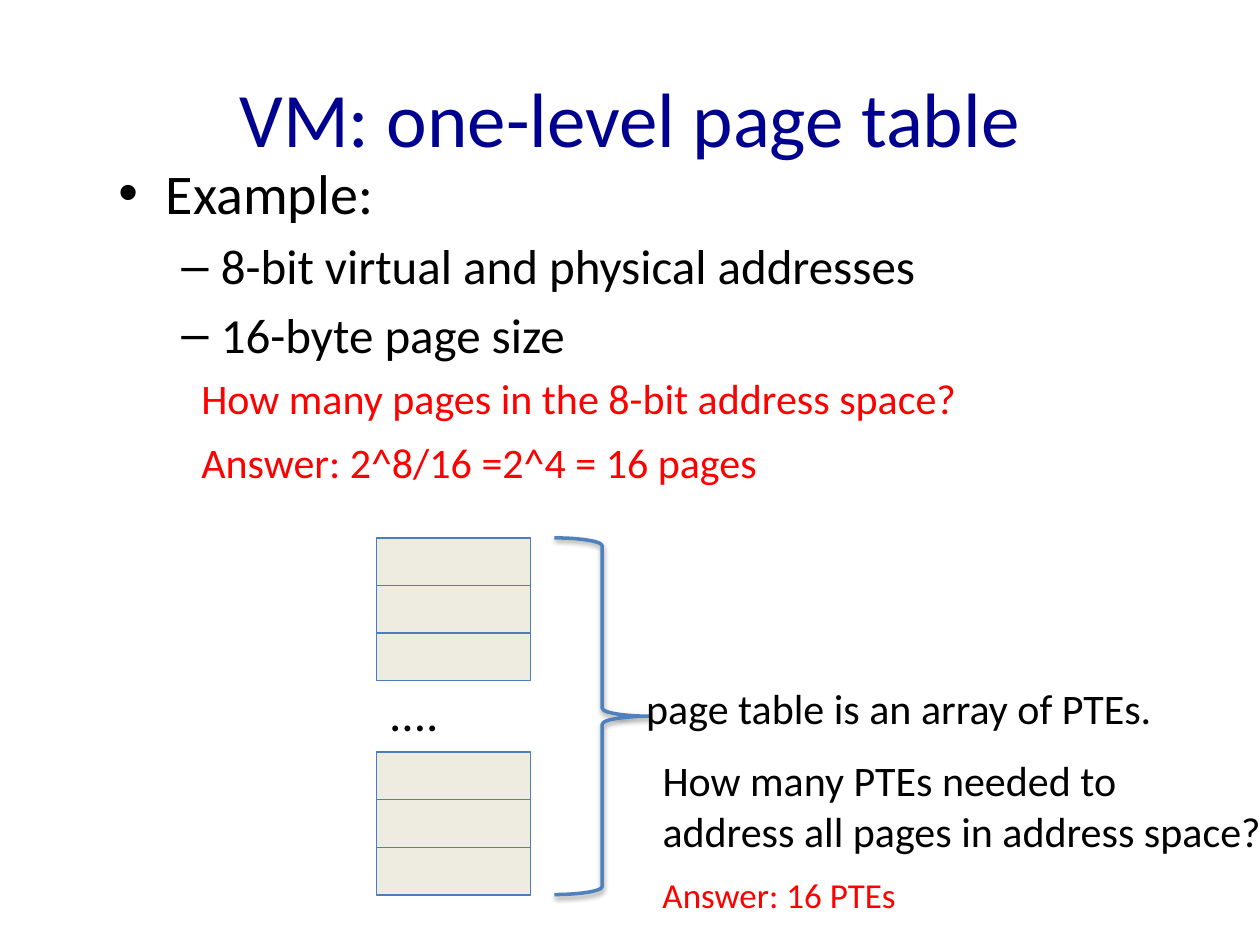
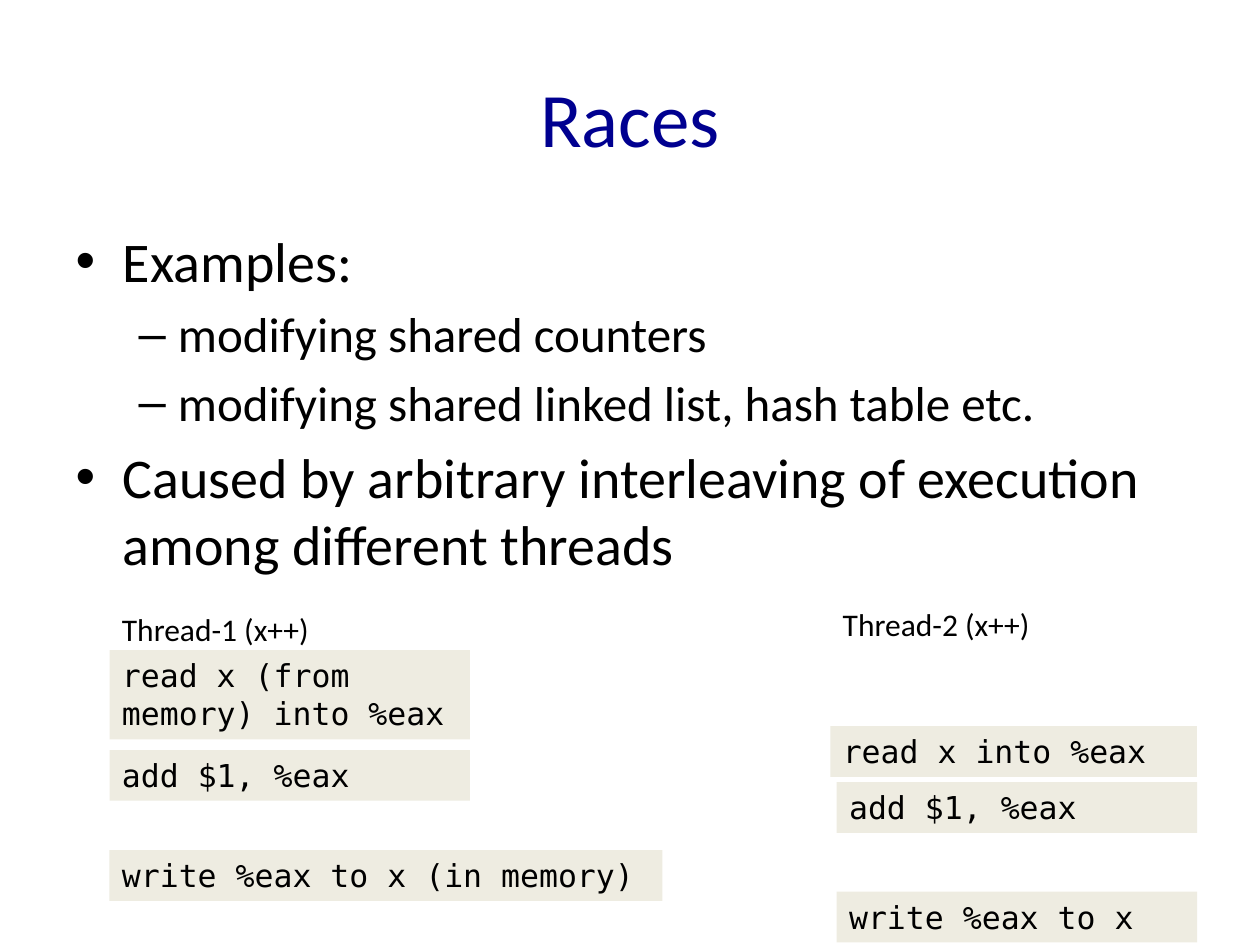
"""Build two lecture slides: a one-level page table and thread races."""
from lxml import etree
from pptx import Presentation
from pptx.dml import color as dml
from pptx.enum import shapes, text
from pptx.oxml import ns
from pptx.util import Pt

NAVY, BLACK, RED = "000090", "000000", "FF0000"
CREAM, CELL_EDGE, BRACE_BLUE = "EEECE1", "4B7EBC", "4F81BD"
SANS, MONO = "Calibri", "DejaVu Sans Mono"
LEVEL_SIZES = (32, 28)


def paint(target, value):
    """Give a fill or a font a solid colour from a hex string."""
    if hasattr(target, "solid"):
        target.solid()
        target.fore_color.rgb = dml.RGBColor.from_string(value)
    else:
        target.color.rgb = dml.RGBColor.from_string(value)


def write(frame, lines, size=None, color=BLACK, font=SANS, wrap=True,
          align=text.PP_ALIGN.LEFT, anchor=text.MSO_ANCHOR.TOP):
    """Fill a text frame with (text, level) lines in one format."""
    frame.auto_size = text.MSO_AUTO_SIZE.NONE
    frame.word_wrap = wrap
    frame.vertical_anchor = anchor
    for index, (words, level) in enumerate(lines):
        para = frame.add_paragraph() if index else frame.paragraphs[0]
        para.level = level
        para.alignment = align
        if index == 0:
            para.space_before = Pt(0)
        span = para.add_run()
        span.text = words
        span.font.name = font
        span.font.size = Pt(size or LEVEL_SIZES[level])
        paint(span.font, color)


deck = Presentation()
deck.slide_width, deck.slide_height = Pt(720), Pt(540)

outlines = [
    ("VM: one-level page table", (60.5, 87.1, 695.5, 175),
     [("Example:", 0),
      ("8-bit virtual and physical addresses", 1),
      ("16-byte page size", 1)]),
    ("Races", (36, 126, 648, 356.4),
     [("Examples:", 0),
      ("modifying shared counters", 1),
      ("modifying shared linked list, hash table etc.", 1),
      ("Caused by arbitrary interleaving of execution among different threads", 0)]),
]
pages = []
for heading, body_area, points in outlines:
    page = deck.slides.add_slide(deck.slide_layouts[1])
    title, body = page.placeholders
    for holder, area in ((title, (36, 21.6, 648, 90)), (body, body_area)):
        holder.left, holder.top, holder.width, holder.height = map(Pt, area)
    write(title.text_frame, [(heading, 0)], size=44, color=NAVY,
          align=text.PP_ALIGN.CENTER, anchor=text.MSO_ANCHOR.MIDDLE)
    write(body.text_frame, points)
    pages.append(page)
table_page, race_page = pages

cell_left, cell_width, cell_height = 215.3, 87.8, 27.2
for stack_top in (307.4, 429.8):
    for row in range(3):
        cell = table_page.shapes.add_shape(
            shapes.MSO_SHAPE.RECTANGLE, Pt(cell_left), Pt(stack_top + row * cell_height),
            Pt(cell_width), Pt(cell_height))
        cell.shadow.inherit = False
        paint(cell.fill, CREAM)
        paint(cell.line.fill, CELL_EDGE)
        cell.line.width = Pt(0.75)

brace = table_page.shapes.add_shape(
    shapes.MSO_SHAPE.RIGHT_BRACE, Pt(316.8), Pt(307.4), Pt(54.7), Pt(203.8))
brace.fill.background()
paint(brace.line.fill, BRACE_BLUE)
brace.line.width = Pt(2)
brace.shadow.inherit = False
effects = brace._element.spPr.find(ns.qn("a:effectLst"))
shadow = etree.SubElement(effects, ns.qn("a:outerShdw"), blurRad=str(Pt(3.1)),
                          dist=str(Pt(1.6)), dir="5400000", rotWithShape="0")
shade = etree.SubElement(shadow, ns.qn("a:srgbClr"), val=BLACK)
etree.SubElement(shade, ns.qn("a:alpha"), val="38000")

labels = [
    (table_page, (108, 209.5, 451.4, 36), 24, RED,
     ["How many pages in the 8-bit address space?"]),
    (table_page, (108, 246.2, 335.5, 36), 24, RED, ["Answer: 2^8/16 =2^4 = 16 pages"]),
    (table_page, (215.3, 386.6, 43.2, 41), 28, BLACK, ["...."]),
    (table_page, (362.2, 386.6, 321.1, 36), 24, BLACK, ["page table is an array of PTEs."]),
    (table_page, (371.5, 427.7, 360.7, 65.5), 24, BLACK,
     ["How many PTEs needed to", "address all pages in address space?"]),
    (table_page, (371.5, 495.4, 149, 31.7), 20, RED, ["Answer: 16 PTEs"]),
    (race_page, (62.6, 344.9, 122.4, 28.8), 18, BLACK, ["Thread-1 (x++)"]),
    (race_page, (474.5, 342, 122.4, 28.8), 18, BLACK, ["Thread-2 (x++)"]),
]
for page, area, size, color, lines in labels:
    box = page.shapes.add_textbox(*map(Pt, area))
    write(box.text_frame, [(line, 0) for line in lines], size=size, color=color, wrap=False)

step_height = 29
thread_steps = [
    (62.6, 371.5, 206, 51, "read x (from memory) into %eax"),
    (62.6, 428.6, 206, step_height, "add $1, %eax"),
    (62.6, 485.8, 316, step_height, "write %eax to x (in memory)"),
    (474.5, 414.9, 209.5, step_height, "read x into %eax"),
    (478.1, 447, 206, step_height, "add $1, %eax"),
    (478.1, 509.5, 206, step_height, "write %eax to x"),
]
for *area, code in thread_steps:
    step = race_page.shapes.add_shape(shapes.MSO_SHAPE.RECTANGLE, *map(Pt, area))
    step.shadow.inherit = False
    paint(step.fill, CREAM)
    step.line.fill.background()
    write(step.text_frame, [(code, 0)], size=18, font=MONO)

deck.save("out.pptx")
